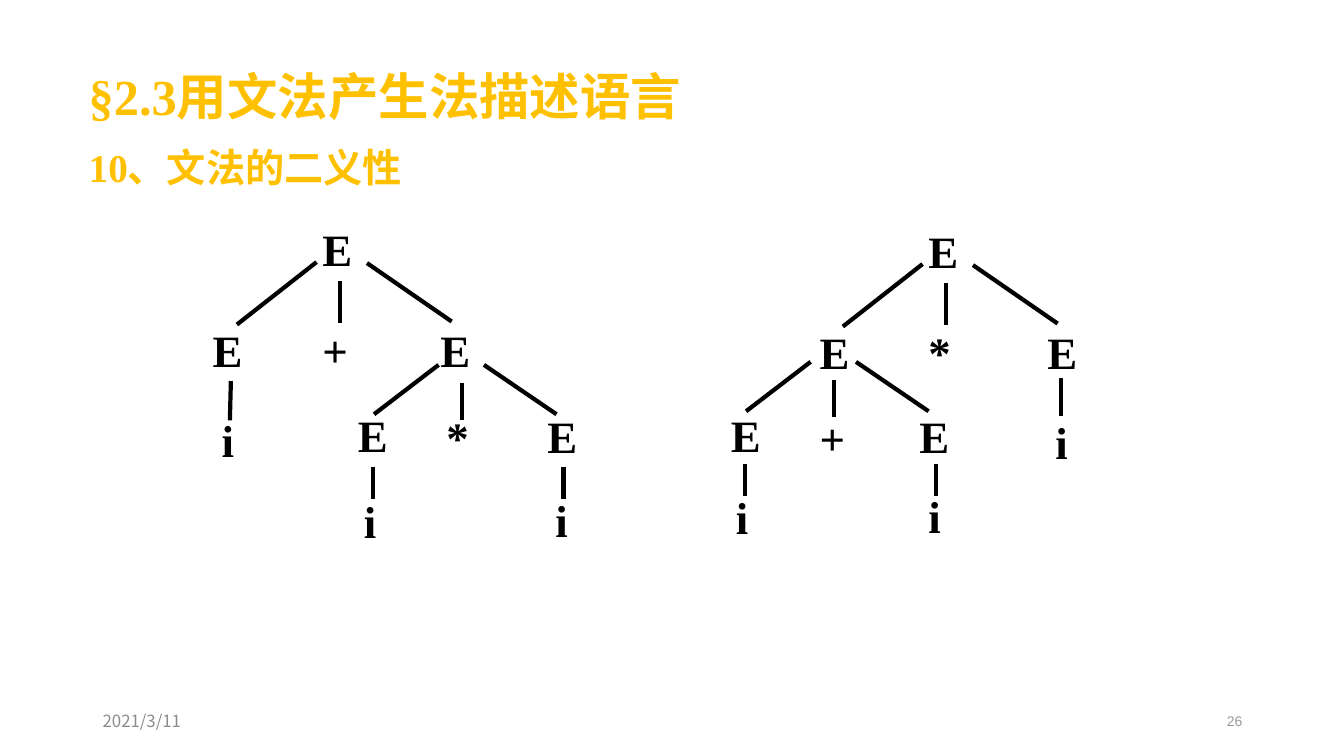
from dataclasses import dataclass

from lxml import etree
from pptx import Presentation
from pptx.dml.color import RGBColor
from pptx.enum.shapes import MSO_CONNECTOR
from pptx.enum.text import MSO_ANCHOR, MSO_AUTO_SIZE, PP_ALIGN
from pptx.oxml.ns import qn
from pptx.shapes.shapetree import GroupShapes, SlideShapes
from pptx.slide import Slide
from pptx.text.text import _Run
from pptx.util import Inches, Pt

STRAIGHT = MSO_CONNECTOR.STRAIGHT
TOP, MIDDLE = MSO_ANCHOR.TOP, MSO_ANCHOR.MIDDLE
NO_FIT, GROW = MSO_AUTO_SIZE.NONE, MSO_AUTO_SIZE.SHAPE_TO_FIT_TEXT
LEFT, RIGHT = PP_ALIGN.LEFT, PP_ALIGN.RIGHT

GOLD = RGBColor(0xFF, 0xC0, 0x00)
BLACK = RGBColor(0x00, 0x00, 0x00)
DATE_GRAY = RGBColor(0x8C, 0x8C, 0x8C)
NUMBER_GRAY = RGBColor(0x9B, 0x9A, 0x98)
SERIF, SANS, CHINESE = "Times New Roman", "Arial", "Noto Sans CJK SC"

COLUMN = ROW = Inches(0.1)
LABEL_WIDTH, LABEL_HEIGHT = 8.1, 6.3


@dataclass(frozen=True)
class Label:
    text: str
    column: float
    row: float


@dataclass(frozen=True)
class Branch:
    start: tuple[float, float]
    end: tuple[float, float]

    def shifted(self, column: float, row: float) -> "Branch":
        return Branch(
            (self.start[0] + column, self.start[1] + row),
            (self.end[0] + column, self.end[1] + row),
        )


@dataclass(frozen=True)
class Tree:
    labels: tuple[Label, ...]
    root: tuple[float, float]
    inner: tuple[float, float]
    leaf_stem: Branch


@dataclass(frozen=True)
class Footer:
    text: str
    column: float
    align: PP_ALIGN
    font: str
    size: float
    color: RGBColor


ROOT_BRANCHES = (
    Branch((0.4, 4.5), (-7.5, 10.7)),
    Branch((2.7, 6.4), (2.7, 10.5)),
    Branch((5.4, 4.6), (13.8, 10.4)),
)
INNER_BRANCHES = (
    Branch((0.8, 4.7), (-5.6, 9.6)),
    Branch((3.1, 6.5), (3.1, 10.2)),
    Branch((5.3, 4.7), (12.5, 9.6)),
    Branch((-5.7, 14.8), (-5.7, 18)),
    Branch((13.2, 14.8), (13.2, 18)),
)

TREES = (
    Tree(
        labels=(
            Label("E", 31, 21.5),
            Label("E", 20.1, 31.5),
            Label("+", 31, 31.5),
            Label("E", 42.7, 31.5),
            Label("i", 21, 40.5),
            Label("E", 34.5, 40),
            Label("*", 43.3, 40.2),
            Label("E", 53.3, 40.1),
            Label("i", 35.1, 48.5),
            Label("i", 54.1, 48.4),
        ),
        root=(31, 21.5),
        inner=(42.7, 31.5),
        leaf_stem=Branch((22.9, 37.8), (22.8, 41.7)),
    ),
    Tree(
        labels=(
            Label("E", 91.1, 21.7),
            Label("E", 80.3, 31.7),
            Label("*", 91.1, 31.7),
            Label("E", 102.9, 31.7),
            Label("i", 103.7, 40.7),
            Label("E", 71.5, 40),
            Label("+", 80.3, 40.3),
            Label("E", 90.2, 40.1),
            Label("i", 72, 48.1),
            Label("i", 91.1, 48),
        ),
        root=(91.1, 21.7),
        inner=(79.6, 31.2),
        leaf_stem=Branch((105.2, 37.5), (105.2, 41.3)),
    ),
)

FOOTERS = (
    Footer("2021/3/11", 9.2, LEFT, CHINESE, 12, DATE_GRAY),
    Footer("26", 94.2, RIGHT, SANS, 10, NUMBER_GRAY),
)
HEADINGS = (("§2.3用文法产生法描述语言", 36), ("10、文法的二义性", 28))


def across(columns: float) -> int:
    return round(columns * COLUMN)


def down(rows: float) -> int:
    return round(rows * ROW)


def format_span(span: _Run, name: str, size: float, color: RGBColor, bold: bool) -> None:
    span.font.name = name
    span.font.size = Pt(size)
    span.font.bold = bold
    span.font.color.rgb = color
    east_asian = etree.SubElement(span._r.get_or_add_rPr(), qn("a:ea"))
    east_asian.set("typeface", CHINESE)


def add_title(page: Slide) -> None:
    box = page.shapes.title
    box.left, box.top = across(7.4), down(4.8)
    box.width, box.height = across(96.7), down(16.6)
    frame = box.text_frame
    frame.text = "\n".join(text for text, _ in HEADINGS)
    frame.word_wrap = True
    frame.auto_size = NO_FIT
    frame.vertical_anchor = TOP
    for index, (para, (_, size)) in enumerate(zip(frame.paragraphs, HEADINGS)):
        para.alignment = LEFT
        para.line_spacing = 1.2
        para.space_before = Pt(0.2 * size if index else 0)
        properties = para._p.get_or_add_pPr()
        properties.set("marL", str(across(4.6)))
        properties.set("indent", str(across(-4.2)))
        format_span(para.runs[0], SERIF, size, GOLD, True)


def add_label(shapes: GroupShapes, label: Label) -> None:
    box = shapes.add_textbox(
        across(label.column), down(label.row), across(LABEL_WIDTH), down(LABEL_HEIGHT)
    )
    frame = box.text_frame
    frame.text = label.text
    frame.word_wrap = True
    frame.auto_size = GROW
    format_span(frame.paragraphs[0].runs[0], SERIF, 32, BLACK, True)


def add_branch(shapes: GroupShapes, branch: Branch) -> None:
    line = shapes.add_connector(
        STRAIGHT,
        across(branch.start[0]), down(branch.start[1]),
        across(branch.end[0]), down(branch.end[1]),
    )
    line.line.color.rgb = BLACK
    line.line.width = Pt(3)
    etree.SubElement(line._element.spPr, qn("a:effectLst"))


def add_tree(page: Slide, tree: Tree) -> None:
    shapes = page.shapes.add_group_shape().shapes
    for label in tree.labels:
        add_label(shapes, label)
    for branch in ROOT_BRANCHES:
        add_branch(shapes, branch.shifted(*tree.root))
    for branch in INNER_BRANCHES:
        add_branch(shapes, branch.shifted(*tree.inner))
    add_branch(shapes, tree.leaf_stem)


def add_footer(shapes: SlideShapes, footer: Footer) -> None:
    box = shapes.add_textbox(across(footer.column), down(69.5), across(30), down(4))
    frame = box.text_frame
    frame.text = footer.text
    frame.word_wrap = True
    frame.vertical_anchor = MIDDLE
    para = frame.paragraphs[0]
    para.alignment = footer.align
    format_span(para.runs[0], footer.font, footer.size, footer.color, False)


def main() -> None:
    deck = Presentation()
    deck.slide_width, deck.slide_height = Inches(13.33), Inches(7.5)
    page = deck.slides.add_slide(deck.slide_layouts[5])
    add_title(page)
    for tree in TREES:
        add_tree(page, tree)
    for footer in FOOTERS:
        add_footer(page.shapes, footer)
    deck.save("out.pptx")


if __name__ == "__main__":
    main()
